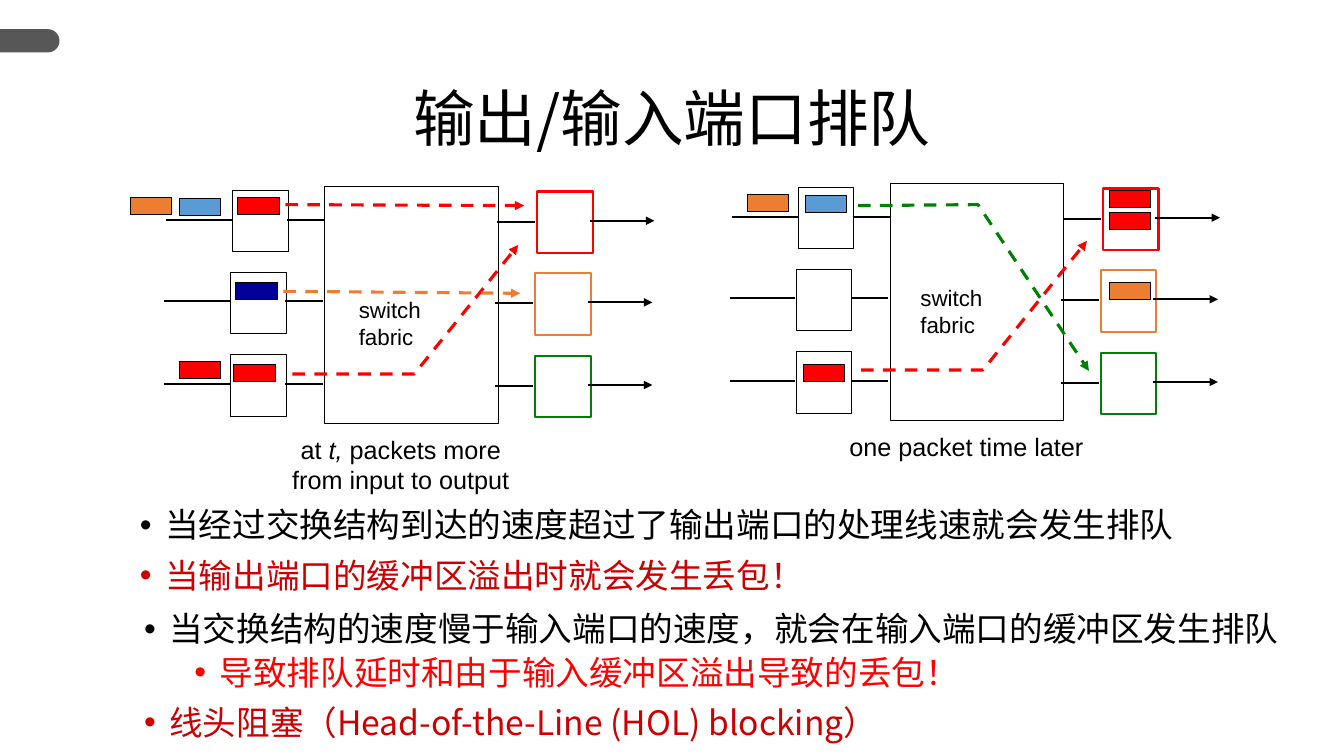
from math import cos, pi, sin

from lxml import etree
from pptx import Presentation
from pptx.dml.color import RGBColor
from pptx.enum.dml import MSO_LINE
from pptx.enum.shapes import MSO_CONNECTOR, MSO_SHAPE
from pptx.enum.text import MSO_ANCHOR, PP_ALIGN
from pptx.oxml.ns import qn
from pptx.util import Inches, Pt

COLORS = {
    "black": "000000", "white": "FFFFFF", "gray": "575757", "red": "FF0000",
    "dark_red": "CC0000", "orange": "ED7D31", "green": "008000",
    "blue": "5B9BD5", "navy": "000099",
}
CJK = "Noto Sans CJK SC"
LATIN = "Arial"


def rgb(name):
    return RGBColor.from_string(COLORS[name])


def style_line(sp, color, width, dashed=False, arrow=False):
    sp.line.color.rgb = rgb(color)
    sp.line.width = Pt(width)
    if dashed:
        sp.line.dash_style = MSO_LINE.DASH
    if arrow:
        ln = sp.line._get_or_add_ln()
        etree.SubElement(ln, qn("a:tailEnd"), type="triangle")


def add_box(s, x, y, w, h, fill, line="black", width=0.75):
    sp = s.shapes.add_shape(MSO_SHAPE.RECTANGLE, Inches(x), Inches(y), Inches(w), Inches(h))
    sp.shadow.inherit = False
    sp.fill.solid()
    sp.fill.fore_color.rgb = rgb(fill)
    style_line(sp, line, width)


def add_wire(s, start, end, color="black", width=1.5, dashed=False, arrow=False):
    sp = s.shapes.add_connector(MSO_CONNECTOR.STRAIGHT, *map(Inches, (*start, *end)))
    style_line(sp, color, width, dashed, arrow)
    etree.SubElement(sp._element.spPr, qn("a:effectLst"))


def add_outline(s, points, close):
    corners = [(Inches(x), Inches(y)) for x, y in points]
    builder = s.shapes.build_freeform(*corners[0])
    builder.add_line_segments(corners[1:], close=close)
    sp = builder.convert_to_shape()
    sp.shadow.inherit = False
    return sp


def add_path(s, points, color):
    """Draw a dashed packet path ending in an arrowhead."""
    if len(points) == 2:
        add_wire(s, *points, color, 2.25, dashed=True, arrow=True)
    else:
        sp = add_outline(s, points, close=False)
        sp.fill.background()
        style_line(sp, color, 2.25, dashed=True, arrow=True)


def add_frame(s, x, y, w, h, wrap=True):
    tf = s.shapes.add_textbox(Inches(x), Inches(y), Inches(w), Inches(h)).text_frame
    tf.word_wrap = wrap
    return tf


def next_paragraph(tf, index):
    return tf.add_paragraph() if index else tf.paragraphs[0]


def add_run(p, text, size, font, color="black", italic=None):
    r = p.add_run()
    r.text = text
    r.font.size = Pt(size)
    r.font.name = font
    r.font.italic = italic
    r.font.color.rgb = rgb(color)
    etree.SubElement(r._r.get_or_add_rPr(), qn("a:ea"), typeface=font)


def add_lines(tf, lines, size, align=PP_ALIGN.LEFT):
    """Write lines made of (text, italic) runs."""
    for i, runs in enumerate(lines):
        p = next_paragraph(tf, i)
        p.alignment = align
        for text, italic in runs:
            add_run(p, text, size, LATIN, italic=italic)


def add_tab(s, x, y, w, h):
    """Draw the gray tab with a rounded right end."""
    radius = h / 2
    angles = [pi * (i / 24 - 0.5) for i in range(25)]
    arc = [(x + w - radius + radius * cos(a), y + radius + radius * sin(a)) for a in angles]
    sp = add_outline(s, [(x, y), *arc, (x, y + h)], close=True)
    sp.fill.solid()
    sp.fill.fore_color.rgb = rgb("gray")
    sp.line.fill.background()


def add_title(s, x, y, w, h, text):
    tf = add_frame(s, x, y, w, h)
    tf.vertical_anchor = MSO_ANCHOR.MIDDLE
    p = tf.paragraphs[0]
    p.alignment = PP_ALIGN.CENTER
    p.line_spacing = 0.9
    add_run(p, text, 44, CJK)


def add_bullets(s, x, y, w, h, items):
    """Write bullets given as (text, color, level)."""
    tf = add_frame(s, x, y, w, h)
    for i, (text, color, level) in enumerate(items):
        p = next_paragraph(tf, i)
        p.level = level
        p.line_spacing = 0.9
        p.space_before = Pt((5 if level else 10) if i else 0)
        pPr = p._p.get_or_add_pPr()
        pPr.set("marL", str(Inches(0.25 + 0.5 * level)))
        pPr.set("indent", str(Inches(-0.25)))
        etree.SubElement(pPr, qn("a:buFont"), typeface=LATIN)
        etree.SubElement(pPr, qn("a:buChar"), char="•")
        add_run(p, text, 24, CJK, color)


def add_switch(s, x, y, packets, paths, label_at, caption):
    """Draw a three-port switch whose parts are offset from (x, y)."""
    add_box(s, x + 1.59, y, 1.72, 2.35, "white")
    ports = [(0.02, 0, "red"), (0, 0.81, "orange"), (0, 1.63, "green")]
    for dx, dy, color in ports:
        px, py = x + dx, y + dy
        add_box(s, px + 0.66, py + 0.04, 0.55, 0.61, "white")
        add_box(s, px + 3.68, py + 0.05, 0.55, 0.61, "white", color, 1.5)
        wires = [(0, 0.65, 0.33), (1.2, 1.57, 0.33), (3.28, 3.66, 0.35), (4.2, 4.84, 0.34)]
        for left, right, drop in wires:
            add_wire(s, (px + left, py + drop), (px + right, py + drop), arrow=left == 4.2)
    for dx, dy, color in packets:
        add_box(s, x + dx, y + dy, 0.41, 0.17, color)
    label = add_frame(s, x + label_at[0], y + label_at[1], 0.82, 0.64, wrap=False)
    add_lines(label, [[("switch", None)], [("fabric", None)]], 16)
    for color, points in paths:
        add_path(s, [(x + dx, y + dy) for dx, dy in points], color)
    note = add_frame(s, x + 0.55, y + 2.41, 3.59, 0.35 * len(caption))
    add_lines(note, caption, 18, PP_ALIGN.CENTER)


def main():
    prs = Presentation()
    prs.slide_width, prs.slide_height = Inches(13.33), Inches(7.5)
    s = prs.slides.add_slide(prs.slide_layouts[6])
    add_tab(s, 0, 0.29, 0.59, 0.23)
    add_title(s, 0, 0.81, 13.33, 0.8, "输出/输入端口排队")
    add_bullets(s, 1.29, 5, 11.33, 1.3, [
        ("当经过交换结构到达的速度超过了输出端口的处理线速就会发生排队", "black", 0),
        ("当输出端口的缓冲区溢出时就会发生丢包！", "dark_red", 0),
    ])
    add_switch(
        s, 1.63, 1.85,
        packets=[(0.73, 0.11, "red"), (0.71, 0.95, "navy"), (0.69, 1.77, "red"),
                 (0.15, 0.12, "blue"), (0.15, 1.74, "red"), (-0.34, 0.11, "orange")],
        paths=[("red", [(1.2, 0.18), (3.57, 0.19)]),
               ("red", [(1.27, 1.86), (2.48, 1.86), (3.51, 0.58)]),
               ("orange", [(1.18, 1.04), (3.53, 1.06)])],
        label_at=(1.83, 1.04),
        caption=[[("at ", None), ("t,", True), (" packets more", None)],
                 [("from input to output", None)]],
    )
    add_switch(
        s, 7.24, 1.82,
        packets=[(3.76, 0.07, "red"), (3.76, 0.98, "orange"), (3.76, 0.29, "red"),
                 (0.75, 0.12, "blue"), (0.73, 1.8, "red"), (0.17, 0.11, "orange")],
        paths=[("red", [(1.3, 1.85), (2.51, 1.85), (3.54, 0.57)]),
               ("green", [(1.27, 0.22), (2.46, 0.21), (3.56, 1.86)])],
        label_at=(1.79, 0.95),
        caption=[[("one packet time later", None)]],
    )
    add_bullets(s, 1.33, 6.03, 11.71, 1.47, [
        ("当交换结构的速度慢于输入端口的速度，就会在输入端口的缓冲区发生排队", "black", 0),
        ("导致排队延时和由于输入缓冲区溢出导致的丢包！", "red", 1),
        ("线头阻塞（Head-of-the-Line (HOL) blocking）", "dark_red", 0),
    ])
    prs.save("out.pptx")


if __name__ == "__main__":
    main()
